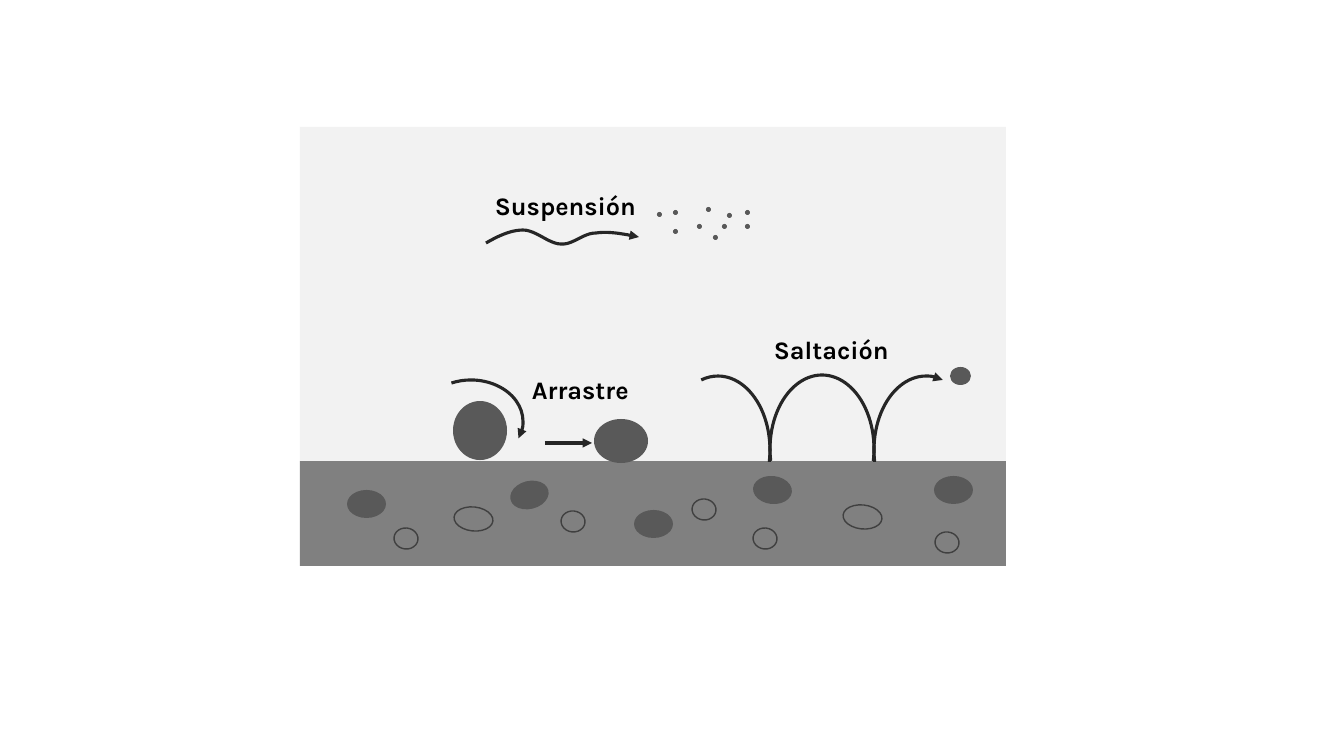
import lxml.etree
import pptx
import pptx.dml.color
import pptx.enum.shapes
import pptx.enum.text
import pptx.oxml.ns
import pptx.util

PX = 914400 / 100.8
KIND = pptx.enum.shapes.MSO_SHAPE
THEME = {
    "sky": "F2F2F2", "soil": "808080", "grain": "595959",
    "rim": "404040", "path": "262626", "text": "000000",
    "thin": 1, "thick": 2.25,
    "font": {"name": "Karla", "size": pptx.util.Pt(18), "bold": True},
}

STONES = [(347, 490, 0), (634, 510, 0), (934, 476, 0), (753, 476, 6), (510, 481, -14)]
HOLES = [(454, 507, 39, 24), (561, 511, 24, 21), (394, 528, 24, 21),
         (935, 532, 24, 21), (692, 499, 24, 21), (753, 528, 24, 21),
         (843, 505, 39, 24)]
GRAINS = [(453, 401, 54, 59), (594, 419, 54, 44), (950, 367, 21, 18)]
DUST = [(657, 212), (673, 229), (697, 224), (673, 210), (706, 207),
        (722, 224), (727, 213), (713, 235), (745, 224), (745, 210)]
ARCS = [((419, 380, 104, 83), (145.84, 11.7), False, "tailEnd"),
        ((666, 376, 104, 148), (153.94, 7.79), False, None),
        ((770, 375, 104, 148), (100.02, 7.79), True, None),
        ((874, 376, 104, 148), (153.94, 7.79), True, "headEnd")]
WAVE = [(486, 243), (498, 236), (511, 230), (523, 230), (536, 230),
        (549, 244), (561, 244), (573, 245), (583, 233), (596, 233),
        (609, 231), (624, 234), (639, 237)]
LABELS = [("Suspensión", 485, 185), ("Arrastre", 522, 369), ("Saltación", 764, 329)]


def emu(*sizes):
    return [round(size * PX) for size in sizes]


def color(name):
    return pptx.dml.color.RGBColor.from_string(THEME[name])


def add_xml(node, tag, **attrs):
    lxml.etree.SubElement(node, pptx.oxml.ns.qn(tag), attrs)


def stroke(item, name, width, end=None):
    """Set the line of a shape; end is headEnd, tailEnd or None."""
    item.line.color.rgb = color(name)
    item.line.width = pptx.util.Pt(THEME[width])
    if end:
        line = item.element.spPr.find(pptx.oxml.ns.qn("a:ln"))
        add_xml(line, "a:" + end, type="triangle")


def add_solid(group, kind, box, fill, turn=0):
    item = group.shapes.add_shape(kind, *emu(*box))
    item.shadow.inherit = False
    item.fill.solid()
    item.fill.fore_color.rgb = color(fill)
    item.line.fill.background()
    item.rotation = turn


def add_hole(group, box):
    item = group.shapes.add_shape(KIND.OVAL, *emu(*box))
    item.shadow.inherit = False
    item.fill.background()
    item.rotation = 6
    stroke(item, "rim", "thin")


def add_arc(group, box, angles, flip, end):
    item = group.shapes.add_shape(KIND.ARC, *emu(*box))
    item.shadow.inherit = False
    item.fill.background()
    for index, angle in enumerate(angles):
        item.adjustments[index] = angle
    if flip:
        item.element.spPr.xfrm.set("flipH", "1")
    stroke(item, "path", "thick", end)


def add_arrow(group, start, stop):
    kind = pptx.enum.shapes.MSO_CONNECTOR.STRAIGHT
    item = group.shapes.add_connector(kind, *emu(*start, *stop))
    stroke(item, "path", "thick", "tailEnd")
    add_xml(item.element.spPr, "a:effectLst")


def trace(knots, steps=12):
    """Return points along joined cubic curves, without the first."""
    points = []
    for first in range(0, len(knots) - 1, 3):
        curve = knots[first:first + 4]
        for step in range(1, steps + 1):
            t = step / steps
            parts = ((1 - t) ** 3, 3 * t * (1 - t) ** 2, 3 * t * t * (1 - t), t ** 3)
            points.append(emu(*(sum(part * knot[axis] for part, knot in zip(parts, curve))
                                for axis in (0, 1))))
    return points


def add_wave(group, knots):
    form = group.shapes.build_freeform(*emu(*knots[0]))
    form.add_line_segments(trace(knots), close=False)
    item = form.convert_to_shape()
    item.shadow.inherit = False
    item.fill.background()
    stroke(item, "path", "thick", "tailEnd")


def add_label(group, text, left, top):
    frame = group.shapes.add_textbox(*emu(left, top, 196, 40)).text_frame
    frame.word_wrap = True
    frame.auto_size = pptx.enum.text.MSO_AUTO_SIZE.SHAPE_TO_FIT_TEXT
    run = frame.paragraphs[0].add_run()
    run.text = text
    for key, value in THEME["font"].items():
        setattr(run.font, key, value)
    run.font.color.rgb = color("text")


def main():
    deck = pptx.Presentation()
    deck.slide_width, deck.slide_height = emu(1344, 756)
    slide = deck.slides.add_slide(deck.slide_layouts[6])
    group = slide.shapes.add_group_shape()

    add_solid(group, KIND.RECTANGLE, (300, 461, 706, 105), "soil")
    for left, top, turn in STONES:
        add_solid(group, KIND.OVAL, (left, top, 39, 28), "grain", turn)
    for box in HOLES:
        add_hole(group, box)

    add_solid(group, KIND.RECTANGLE, (300, 127, 706, 334), "sky")
    for box in GRAINS + [(left, top, 5, 5) for left, top in DUST]:
        add_solid(group, KIND.OVAL, box, "grain")

    for arc in ARCS:
        add_arc(group, *arc)
    add_arrow(group, (545, 443), (592, 443))
    add_wave(group, WAVE)
    for label in LABELS:
        add_label(group, *label)
    deck.save("out.pptx")


if __name__ == "__main__":
    main()
